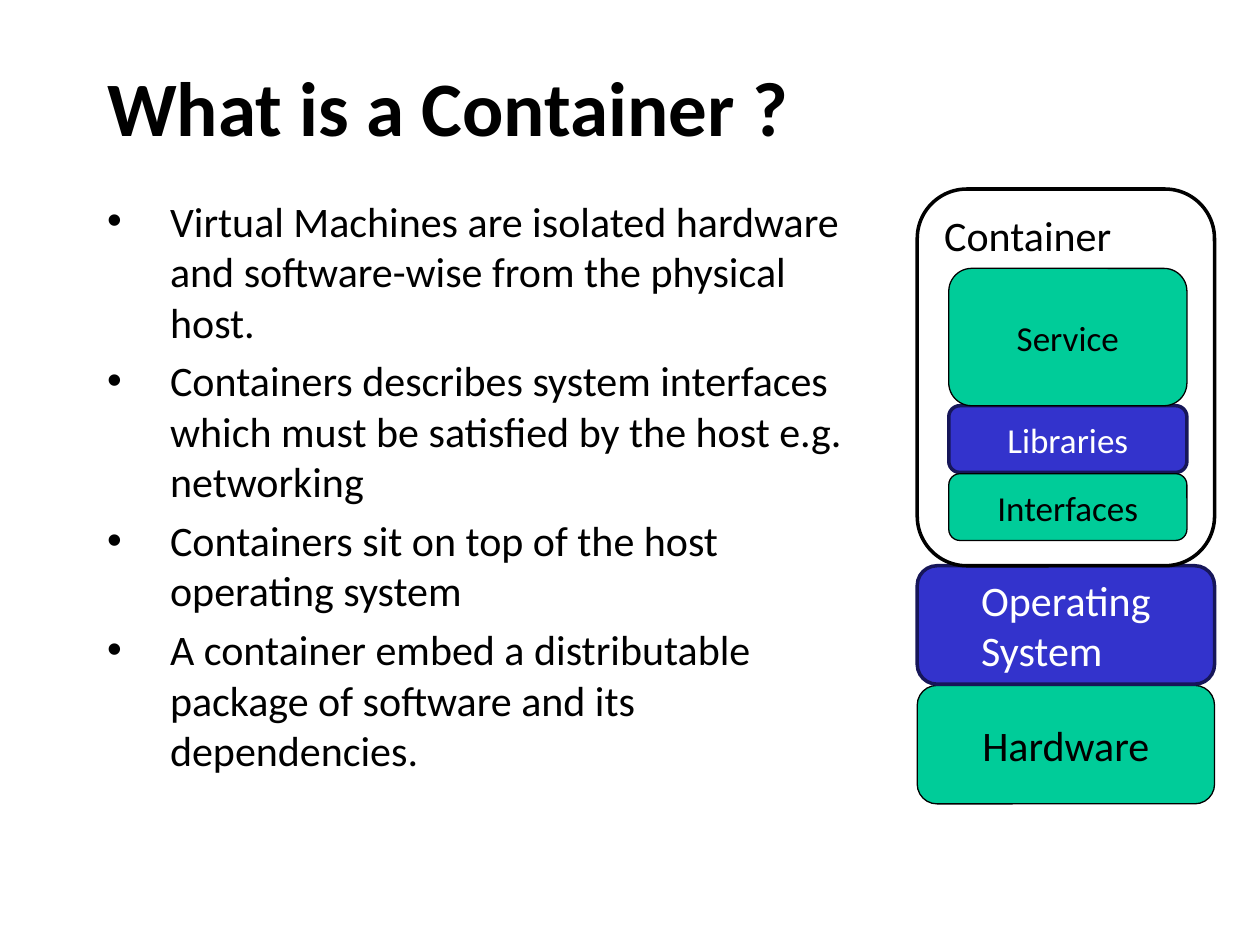
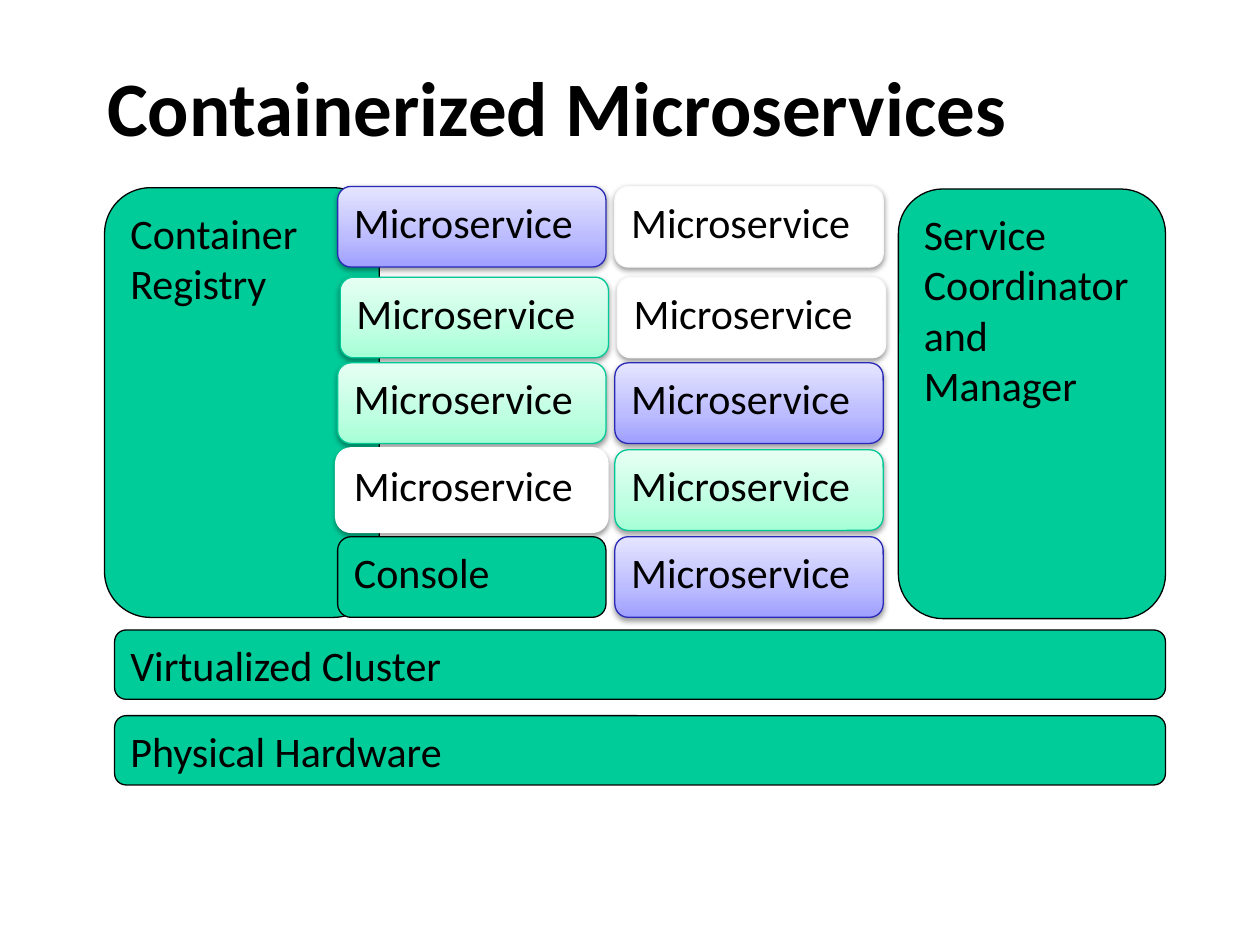
from pptx import Presentation
from pptx import util as u
from pptx.dml.color import RGBColor
from pptx.enum import shapes, text
from pptx.oxml import parse_xml
from pptx.oxml.ns import nsdecls

FONT = "Calibri"
BLACK = RGBColor(0x00, 0x00, 0x00)
WHITE = RGBColor(0xFF, 0xFF, 0xFF)
PALE = RGBColor(0xF9, 0xF9, 0xF9)
GREEN = RGBColor(0x00, 0xCC, 0x99)
BLUE = RGBColor(0x33, 0x33, 0xCC)
NAVY = RGBColor(0x16, 0x16, 0x59)
TEAL = RGBColor(0x00, 0xC8, 0x96)
INDIGO = RGBColor(0x29, 0x29, 0xB8)
MINT = [RGBColor(0xA5, 0xFF, 0xD6), RGBColor(0xBF, 0xFF, 0xE2), RGBColor(0xE7, 0xFF, 0xF3)]
LILAC = [RGBColor(0x9F, 0x9F, 0xFF), RGBColor(0xBB, 0xBB, 0xFF), RGBColor(0xE5, 0xE5, 0xFF)]
STOPS = (0, 35, 100)

# Box looks: fill (one colour or three stops), line, line width, font colour
LOOKS = {
    "plain": dict(fill=GREEN, line=BLACK, width=0.75, ink=BLACK),
    "dark": dict(fill=BLUE, line=NAVY, width=2, ink=WHITE),
    "frame": dict(fill=WHITE, line=BLACK, width=2, ink=BLACK),
    "mint": dict(fill=MINT, line=TEAL, width=0.75, ink=BLACK, shade=True),
    "lilac": dict(fill=LILAC, line=INDIGO, width=0.75, ink=BLACK, shade=True),
    "white": dict(fill=WHITE, line=PALE, width=0.75, ink=BLACK, shade=True),
    "thick": dict(fill=WHITE, line=WHITE, width=3, ink=BLACK, shade=True),
}

POINTS = [
    "Virtual Machines are isolated hardware and software-wise from the physical host.",
    "Containers describes system interfaces which must be satisfied by the host e.g. networking",
    "Containers sit on top of the host operating system",
    "A container embed a distributable package of software and its dependencies.",
]

# Service grid: left edge of columns, top edge of rows, looks per row
COLS = (2.68, 4.88)
ROWS = (1.48, 2.2, 2.88, 3.57, 4.26)
GRID = (("lilac", "white"), ("mint", "white"), ("mint", "lilac"),
        ("thick", "mint"), ("plain", "lilac"))
NUDGE = {1: 0.02}  # the second row sits slightly to the right


def place(item, left, top, width, height):
    spots = dict(left=left, top=top, width=width, height=height)
    for name, value in spots.items():
        setattr(item, name, u.Inches(value))


def style(font, **format):
    for name, value in dict(name=FONT, **format).items():
        if name == "color":
            font.color.rgb = value
        else:
            setattr(font, name, value)


def blend(shape, colors):
    """Fill the shape with a gradient that runs from bottom to top."""
    stops = "".join(f'<a:gs pos="{pos * 1000}"><a:srgbClr val="{color}"/></a:gs>'
                    for pos, color in zip(STOPS, colors))
    fill = parse_xml(f'<a:gradFill {nsdecls("a")} rotWithShape="1"><a:gsLst>{stops}</a:gsLst>'
                     '<a:lin ang="16200000" scaled="0"/></a:gradFill>')
    shape.element.spPr.prstGeom.addnext(fill)


def shade(shape):
    """Drop a soft shadow straight down."""
    drop = parse_xml(f'<a:outerShdw {nsdecls("a")} blurRad="40000" dist="20000" dir="5400000" '
                     'rotWithShape="0"><a:srgbClr val="000000"><a:alpha val="38000"/>'
                     '</a:srgbClr></a:outerShdw>')
    shape.element.spPr.find("{*}effectLst").append(drop)


def box(slide, label, spot, look="plain", size=24, mid=False):
    """Add a rounded box; mid centres its left-aligned text block."""
    form = LOOKS[look]
    shape = slide.shapes.add_shape(shapes.MSO_SHAPE.ROUNDED_RECTANGLE, *map(u.Inches, spot))
    shape.shadow.inherit = False
    shape.line.color.rgb = form["line"]
    shape.line.width = u.Pt(form["width"])
    if isinstance(form["fill"], list):
        blend(shape, form["fill"])
    else:
        shape.fill.solid()
        shape.fill.fore_color.rgb = form["fill"]
    if form.get("shade"):
        shade(shape)
    frame = shape.text_frame
    frame.word_wrap = True
    frame.text = label
    frame.vertical_anchor = text.MSO_ANCHOR.MIDDLE if mid else text.MSO_ANCHOR.TOP
    if mid:
        shape.element.txBody.bodyPr.set("anchorCtr", "1")
    for para in frame.paragraphs:
        para.alignment = text.PP_ALIGN.LEFT
        style(para.font, size=u.Pt(size), color=form["ink"])


def page(deck, title, layout):
    slide = deck.slides.add_slide(deck.slide_layouts.get_by_name(layout))
    head = slide.shapes.title
    place(head, 0.75, 0.25, 8.5, 1.17)
    frame = head.text_frame
    frame.text = title
    frame.auto_size = text.MSO_AUTO_SIZE.NONE
    frame.vertical_anchor = text.MSO_ANCHOR.MIDDLE
    para = frame.paragraphs[0]
    para.alignment = text.PP_ALIGN.LEFT
    style(para.font, size=u.Pt(44), bold=True, color=BLACK)
    return slide


def bullets(body, points):
    place(body, 0.75, 1.5, 6.31, 4.77)
    frame = body.text_frame
    frame.text = "\n".join(points)
    frame.auto_size = text.MSO_AUTO_SIZE.NONE
    for row, para in enumerate(frame.paragraphs):
        props = para._p.get_or_add_pPr()
        props.set("marL", str(u.Inches(0.5)))
        props.set("indent", str(-u.Inches(0.5)))
        para.space_before = u.Pt(4.8 if row else 0)
        style(para.font, size=u.Pt(24), color=BLACK)


def stack(slide):
    """Draw the layers from hardware up to the service."""
    left, width = 7.28, 2.36
    box(slide, "Hardware", (left, 5.44, width, 0.94), mid=True)
    box(slide, "Operating System", (left, 4.49, width, 0.94), "dark", mid=True)
    box(slide, "Container", (left, 1.5, width, 2.99), "frame")
    parts = (("Libraries", 3.22, 0.53, "dark"), ("Interfaces", 3.76, 0.53, "plain"),
             ("Service", 2.13, 1.09, "plain"))
    for label, top, height, look in parts:
        box(slide, label, (7.53, top, 1.89, height), look, 20, True)


def cluster(slide):
    for label, top in (("Physical Hardware", 5.68), ("Virtualized Cluster", 5)):
        box(slide, label, (0.91, top, 8.34, 0.55))
    box(slide, "Container\nRegistry", (0.83, 1.49, 2.18, 3.41))
    box(slide, "Service\nCoordinator and\nManager", (7.13, 1.5, 2.12, 3.41))
    for row, looks in enumerate(GRID):
        for left, look in zip(COLS, looks):
            label = "Console" if look == "plain" else "Microservice"
            box(slide, label, (left + NUDGE.get(row, 0), ROWS[row], 2.13, 0.64), look)


def main():
    deck = Presentation()
    deck.slide_width, deck.slide_height = u.Inches(10), u.Inches(7.5)
    first = page(deck, "What is a Container ?", "Title and Content")
    bullets(first.placeholders[1], POINTS)
    stack(first)
    cluster(page(deck, "Containerized Microservices", "Title Only"))
    deck.save("out.pptx")


if __name__ == "__main__":
    main()
